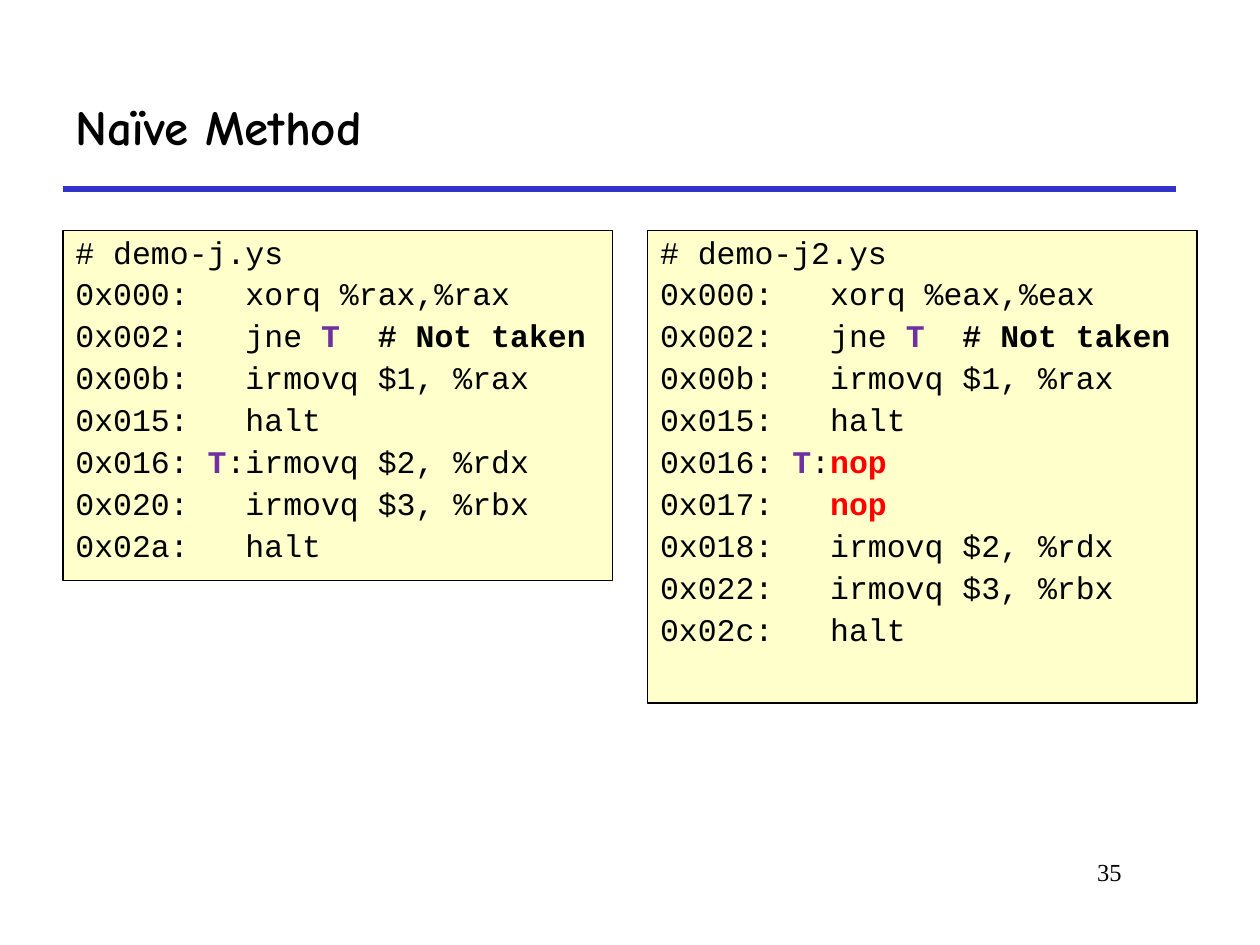
from dataclasses import dataclass

from pptx import Presentation
from pptx.dml.color import RGBColor
from pptx.enum.shapes import MSO_CONNECTOR as Connector, MSO_SHAPE as Shape
from pptx.enum.text import MSO_ANCHOR as Anchor, PP_ALIGN as Align
from pptx.oxml.ns import qn
from pptx.util import Inches, Pt
from lxml import etree


@dataclass(frozen=True)
class Theme:
    text: str = "000000"
    rule: str = "3333CC"
    panel: str = "FFFFCC"
    label: str = "7030A0"
    added: str = "FF0000"
    title_font: str = "Comic Neue"
    code_font: str = "Courier New"
    number_font: str = "Times New Roman"
    title_size: int = 28
    code_size: int = 18
    number_size: int = 14


THEME = Theme()
STYLES = {
    "plain": (THEME.text, False),
    "bold": (THEME.text, True),
    "label": (THEME.label, True),
    "added": (THEME.added, True),
}

TITLE = "Naïve Method"
PAGE_NUMBER = "35"
BRANCH = [("0x002:   jne ", "plain"), ("T  ", "label"), ("# Not taken", "bold")]
TARGET = [("0x016: ", "plain"), ("T", "label")]
FALL_THROUGH = ["0x00b:   irmovq $1, %rax", "0x015:   halt"]
LISTINGS = [
    (2.78, [
        "# demo-j.ys",
        "0x000:   xorq %rax,%rax",
        BRANCH,
        *FALL_THROUGH,
        [*TARGET, (":irmovq $2, %rdx", "plain")],
        "0x020:   irmovq $3, %rbx",
        "0x02a:   halt",
    ]),
    (3.75, [
        "# demo-j2.ys",
        "0x000:   xorq %eax,%eax",
        BRANCH,
        *FALL_THROUGH,
        [*TARGET, (":", "plain"), ("nop", "added")],
        [("0x017:   ", "plain"), ("nop", "added")],
        "0x018:   irmovq $2, %rdx",
        "0x022:   irmovq $3, %rbx",
        "0x02c:   halt",
    ]),
]

LEFT, PANEL_TOP, PANEL_WIDTH, PANEL_GAP = 0.5, 1.83, 4.36, 0.28
CONTENT_WIDTH, RULE_TOP = 8.83, 1.5
HANGING_INDENT = 0.38


def add_run(paragraph, text, font_name, size, style="plain"):
    run = paragraph.add_run()
    run.text = text
    color, bold = STYLES[style]
    run.font.name = font_name
    run.font.size = Pt(size)
    run.font.bold = bold
    run.font.color.rgb = RGBColor.from_string(color)


def add_label(slide, box, text, font_name, size, style, align, anchor):
    shape = slide.shapes.add_textbox(*map(Inches, box))
    frame = shape.text_frame
    frame.word_wrap = True
    frame.vertical_anchor = anchor
    paragraph = frame.paragraphs[0]
    paragraph.alignment = align
    add_run(paragraph, text, font_name, size, style)


def add_rule(slide):
    ends = (LEFT, RULE_TOP, LEFT + CONTENT_WIDTH, RULE_TOP)
    rule = slide.shapes.add_connector(Connector.STRAIGHT, *map(Inches, ends))
    rule.line.color.rgb = RGBColor.from_string(THEME.rule)
    rule.line.width = Pt(3)
    etree.SubElement(rule.element.spPr, qn("a:effectLst"))


def add_listing(slide, left, height, lines):
    box = (left, PANEL_TOP, PANEL_WIDTH, height)
    panel = slide.shapes.add_shape(Shape.RECTANGLE, *map(Inches, box))
    panel.shadow.inherit = False
    panel.fill.solid()
    panel.fill.fore_color.rgb = RGBColor.from_string(THEME.panel)
    panel.line.color.rgb = RGBColor.from_string(THEME.text)
    panel.line.width = Pt(0.75)
    frame = panel.text_frame
    frame.word_wrap = True
    frame.vertical_anchor = Anchor.TOP
    for index, line in enumerate(lines):
        paragraph = frame.add_paragraph() if index else frame.paragraphs[0]
        paragraph.alignment = Align.LEFT
        paragraph.line_spacing = 0.9
        paragraph.space_before = Pt(4.5 if index else 0)
        properties = paragraph._p.get_or_add_pPr()
        properties.set("marL", str(Inches(HANGING_INDENT)))
        properties.set("indent", str(-Inches(HANGING_INDENT)))
        runs = [(line, "plain")] if isinstance(line, str) else line
        for text, style in runs:
            add_run(paragraph, text, THEME.code_font, THEME.code_size, style)


def main():
    presentation = Presentation()
    presentation.slide_width = Inches(10)
    presentation.slide_height = Inches(7.5)
    slide = presentation.slides.add_slide(presentation.slide_layouts[6])
    add_rule(slide)
    add_label(slide, (7.58, 6.75, 1.42, 0.5), PAGE_NUMBER, THEME.number_font,
              THEME.number_size, "plain", Align.RIGHT, Anchor.TOP)
    add_label(slide, (LEFT, 0.5, CONTENT_WIDTH, 1), TITLE, THEME.title_font,
              THEME.title_size, "bold", Align.LEFT, Anchor.MIDDLE)
    for column, (height, lines) in enumerate(LISTINGS):
        left = LEFT + column * (PANEL_WIDTH + PANEL_GAP)
        add_listing(slide, left, height, lines)
    presentation.save("out.pptx")


if __name__ == "__main__":
    main()
